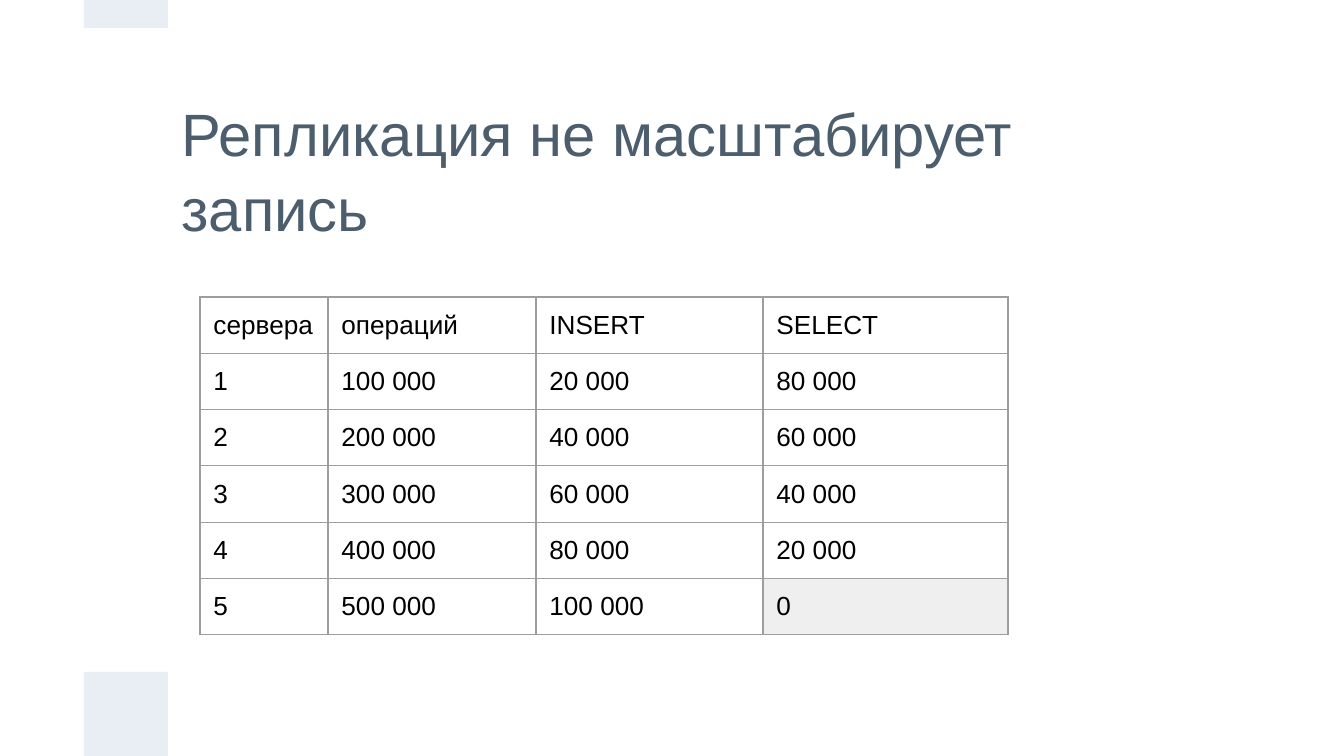
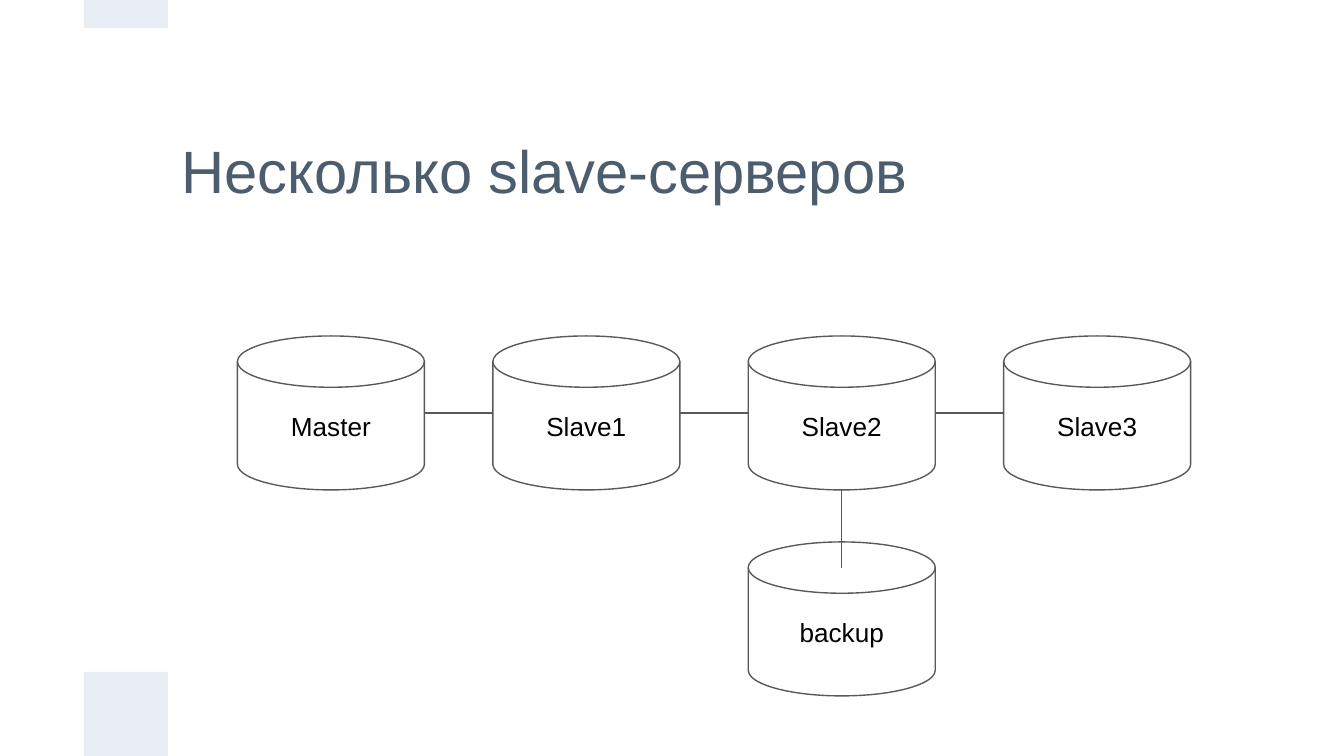
import pptx
import pptx.util
import pptx.dml.color
import pptx.enum.shapes
import pptx.enum.text
import pptx.oxml
import pptx.oxml.ns

PX = 914400 / 134.4  # EMU in one pixel
COLORS = {"title": "4C5D6E", "band": "E9EDF4", "text": "000000",
          "line": "595959", "border": "9E9E9E", "zero": "EFEFEF"}
RGB = {k: pptx.dml.color.RGBColor.from_string(v) for k, v in COLORS.items()}
SHAPE = pptx.enum.shapes.MSO_SHAPE
ALIGN = pptx.enum.text.PP_ALIGN
MIDDLE = pptx.enum.text.MSO_ANCHOR.MIDDLE
MARGIN = pptx.util.Inches(0.1)
NS = pptx.oxml.ns.nsdecls("a")


def px(*values):
    return [pptx.util.Emu(round(v * PX)) for v in values]


def write(tf, text, size, color, align=ALIGN.LEFT):
    """Fill a text frame with one formatted paragraph."""
    frame = {"word_wrap": True, "vertical_anchor": MIDDLE, "margin_left": MARGIN,
             "margin_right": MARGIN, "margin_top": MARGIN, "margin_bottom": MARGIN}
    for name, value in frame.items():
        setattr(tf, name, value)
    p = tf.paragraphs[0]
    p.alignment = align
    r = p.add_run()
    r.text = text
    for name, value in {"name": "Arial", "size": pptx.util.Pt(size)}.items():
        setattr(r.font, name, value)
    r.font.color.rgb = RGB[color]


prs = pptx.Presentation()
prs.slide_width, prs.slide_height = px(1344, 756)

# Title and bands shared by both slides
slides = []
for title in ("Репликация не масштабирует запись", "Несколько slave-серверов"):
    s = prs.slides.add_slide(prs.slide_layouts[5])
    sp = s.shapes.title
    sp.left, sp.top, sp.width, sp.height = px(168, 84, 1008, 168)
    write(sp.text_frame, title, 32, "title")
    sp.text_frame.auto_size = pptx.enum.text.MSO_AUTO_SIZE.NONE
    sp.text_frame.paragraphs[0].line_spacing = 1.05
    for top, height in ((672, 84), (0, 28)):
        sp = s.shapes.add_shape(SHAPE.RECTANGLE, *px(84, top, 84, height))
        sp.shadow.inherit = False
        sp.fill.solid()
        sp.fill.fore_color.rgb = RGB["band"]
        sp.line.fill.background()
    slides.append(s)
table_slide, server_slide = slides

# Slide 1: table of operations by number of servers
rows = [("сервера", "операций", "INSERT", "SELECT"),
        ("1", "100 000", "20 000", "80 000"),
        ("2", "200 000", "40 000", "60 000"),
        ("3", "300 000", "60 000", "40 000"),
        ("4", "400 000", "80 000", "20 000"),
        ("5", "500 000", "100 000", "0")]
widths = (128, 208, 227, 245)
row_height = 56
table = table_slide.shapes.add_table(
    len(rows), len(widths), *px(200, 297, sum(widths), row_height * len(rows))).table
table.first_row = table.horz_banding = False
for column, width in zip(table.columns, widths):
    column.width = px(width)[0]
for i, row in enumerate(rows):
    table.rows[i].height = px(row_height)[0]
    for j, text in enumerate(row):
        cell = table.cell(i, j)
        write(cell.text_frame, text, 14, "text")
        cell.vertical_anchor = pptx.enum.text.MSO_ANCHOR.TOP
        for side in ("left", "right", "top", "bottom"):
            setattr(cell, "margin_" + side, MARGIN)
        tc_pr = cell._tc.get_or_add_tcPr()
        for tag in ("lnL", "lnR", "lnT", "lnB"):
            tc_pr.append(pptx.oxml.parse_xml(
                f'<a:{tag} {NS} w="9525"><a:solidFill><a:srgbClr val="{COLORS["border"]}"/>'
                f'</a:solidFill></a:{tag}>'))
        if text == "0":
            cell.fill.solid()
            cell.fill.fore_color.rgb = RGB["zero"]
        else:
            cell.fill.background()

# Slide 2: chain of servers, with a backup below the second slave
left, top, width, height, pitch = 237.5, 336, 187, 154, 255.4
backup_top = 542
servers = [(name, left + i * pitch, top)
           for i, name in enumerate(("Master", "Slave1", "Slave2", "Slave3"))]
backup_left = servers[2][1]
for name, x, y in servers + [("backup", backup_left, backup_top)]:
    sp = server_slide.shapes.add_shape(SHAPE.FLOWCHART_MAGNETIC_DISK,
                                       *px(x, y, width, height))
    sp.shadow.inherit = False
    sp.fill.background()
    sp.line.color.rgb = RGB["line"]
    sp.line.width = pptx.util.Pt(0.75)
    write(sp.text_frame, name, 14, "text", ALIGN.CENTER)

# Lines between the servers, and down into the lid of the backup
mid_y = top + height / 2
mid_x = backup_left + width / 2
links = [(x + width, mid_y, x + pitch, mid_y) for _, x, _ in servers[:-1]]
links.append((mid_x, top + height, mid_x, backup_top + height / 6))
for link in links:
    line = server_slide.shapes.add_connector(
        pptx.enum.shapes.MSO_CONNECTOR.STRAIGHT, *px(*link))
    line.line.color.rgb = RGB["line"]
    line.line.width = pptx.util.Pt(0.75)
    line._element.spPr.append(pptx.oxml.parse_xml(f"<a:effectLst {NS}/>"))

prs.save("out.pptx")
